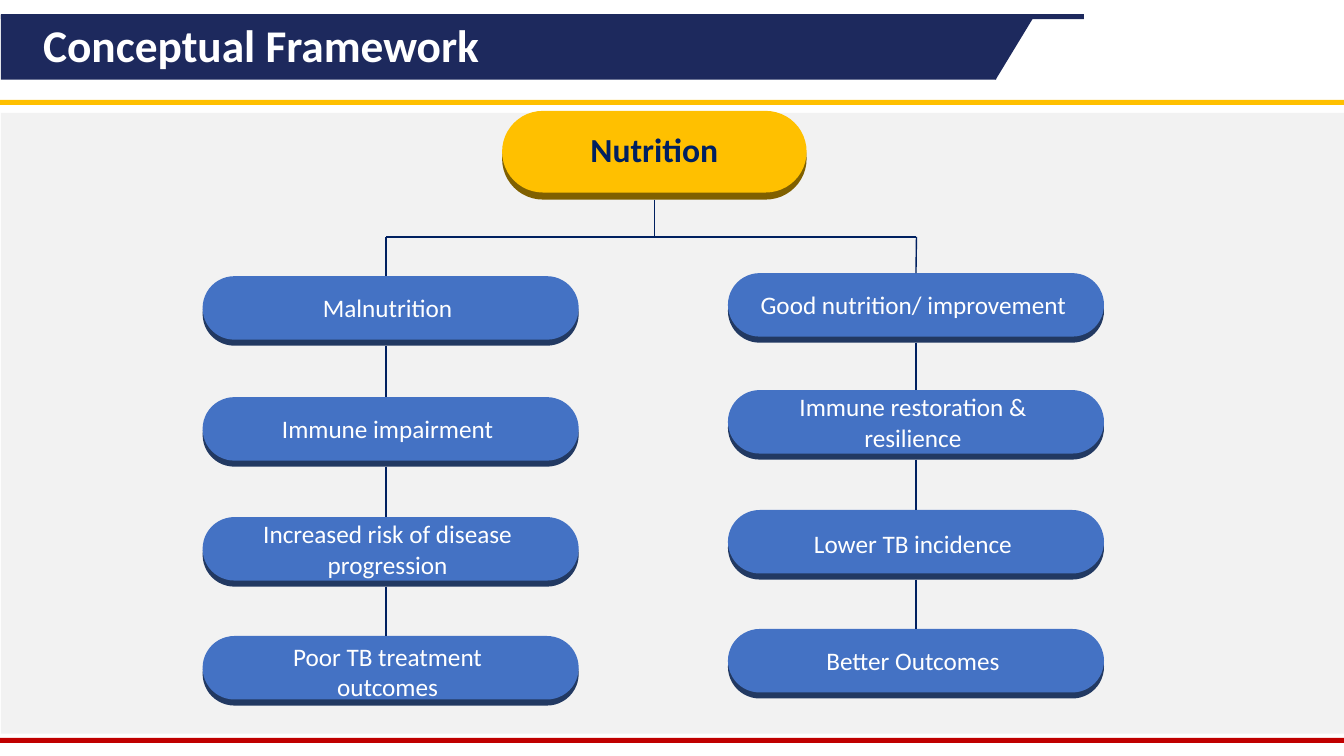
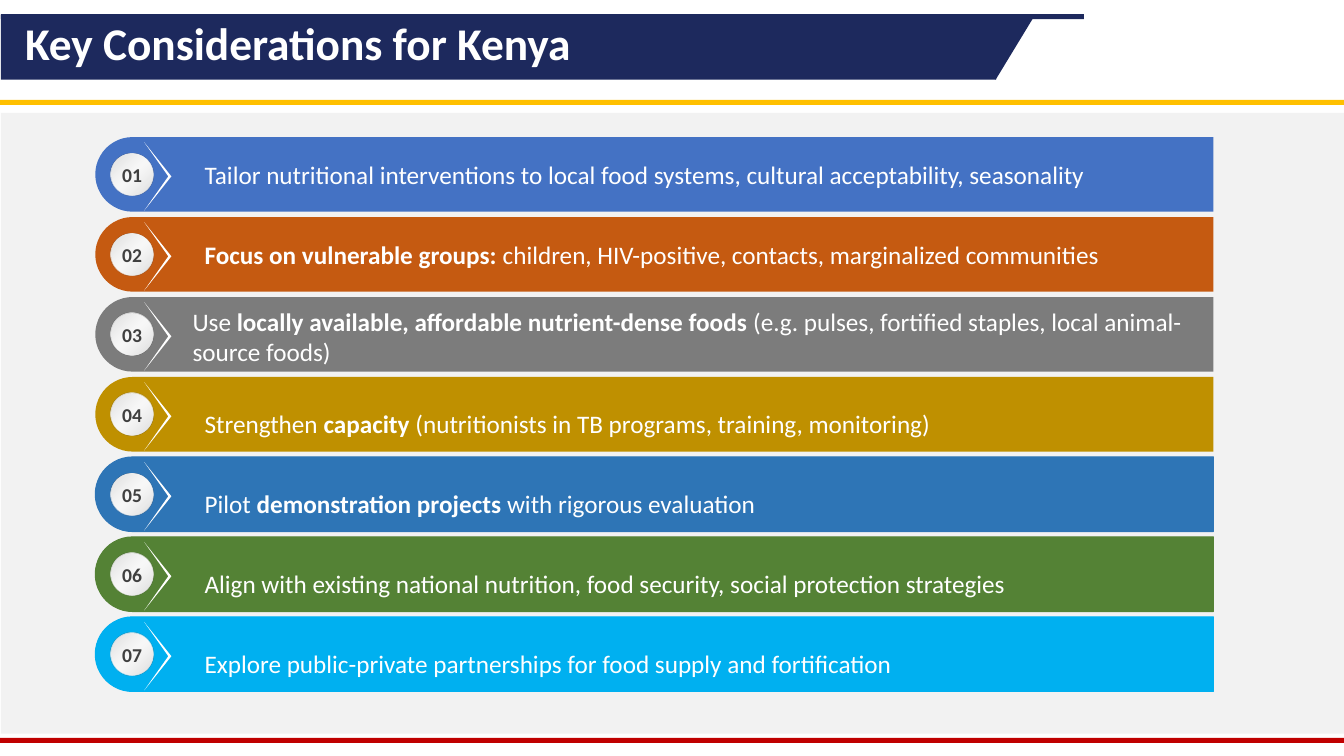
"""Build two slides on nutrition and TB: a framework tree and a numbered list."""
from dataclasses import dataclass
from typing import Any, Optional

from lxml import etree
from pptx import Presentation, util as u
from pptx.dml.color import RGBColor
from pptx.enum import shapes, text
from pptx.oxml import parse_xml
from pptx.oxml.ns import nsdecls, qn

WHITE = RGBColor(0xFF, 0xFF, 0xFF)
PANEL = RGBColor(0xF2, 0xF2, 0xF2)
RED = RGBColor(0xC0, 0x00, 0x00)
GOLD = RGBColor(0xFF, 0xC0, 0x00)
GOLD_LIP = RGBColor(0x80, 0x60, 0x00)
BAND = RGBColor(0x1D, 0x29, 0x5D)
NAVY = RGBColor(0x00, 0x20, 0x60)
BLUE = RGBColor(0x44, 0x72, 0xC4)
BLUE_LIP = RGBColor(0x22, 0x39, 0x62)
ORANGE = RGBColor(0xC5, 0x5A, 0x11)
GREY = RGBColor(0x7C, 0x7C, 0x7C)
OCHRE = RGBColor(0xBF, 0x90, 0x00)
STEEL = RGBColor(0x2E, 0x75, 0xB6)
GREEN = RGBColor(0x54, 0x82, 0x35)
SKY = RGBColor(0x00, 0xB0, 0xF0)
DARK = RGBColor(0x40, 0x40, 0x40)

FONT = "Calibri"
MST = shapes.MSO_SHAPE
CENTER, LEFT = text.PP_ALIGN.CENTER, text.PP_ALIGN.LEFT
NO_INSETS = dict(margin_left=0, margin_right=0, margin_top=0, margin_bottom=0)


@dataclass(frozen=True)
class Box:
    x: float
    y: float
    w: float
    h: float

    def emu(self) -> tuple:
        return tuple(u.Inches(v) for v in (self.x, self.y, self.w, self.h))


@dataclass(frozen=True)
class Part:
    kind: Any
    box: Box
    color: RGBColor
    rotation: float = 0


@dataclass(frozen=True)
class Run:
    text: str
    bold: bool = False


@dataclass(frozen=True)
class Node:
    label: str
    top: float
    insets: tuple = (0.34, 0.4)
    drop: float = 0


@dataclass(frozen=True)
class Column:
    left: float
    line_x: float
    joined: bool
    nodes: tuple


@dataclass(frozen=True)
class Item:
    color: RGBColor
    runs: tuple
    left: float = 2.03
    drop: float = 0
    outlined: bool = False


FRAME = (
    Part(MST.RECTANGLE, Box(0.01, 1.12, 13.33, 6.16), PANEL),
    Part(MST.RECTANGLE, Box(0, 7.32, 13.33, 0.05), RED),
    Part(MST.RECTANGLE, Box(0, 0.99, 13.33, 0.05), GOLD),
    Part(MST.RECTANGLE, Box(0.01, 0.15, 9.87, 0.64), BAND),
    Part(MST.RECTANGLE, Box(0.01, 0.14, 10.74, 0.05), BAND),
    Part(MST.ISOSCELES_TRIANGLE, Box(9.48, 0.14, 0.79, 0.65), BAND, 180),
)

ROOT = Box(4.98, 1.1, 3.02, 0.81)
RAIL_Y = 2.35
PILL_W, PILL_H = 3.73, 0.63
COLUMNS = (
    Column(2.01, 3.83, False, (
        Node("Malnutrition", 2.74),
        Node("Immune impairment", 3.94),
        Node("Increased risk of disease progression", 5.13),
        Node("Poor TB treatment outcomes", 6.31, drop=0.04),
    )),
    Column(7.22, 9.09, True, (
        Node("Good nutrition/ improvement", 2.71, (0.1, 0.15)),
        Node("Immune restoration & resilience", 3.87),
        Node("Lower TB incidence", 5.06, drop=0.02),
        Node("Better Outcomes", 6.24),
    )),
)

FIRST_MID, LAST_MID = 1.73, 6.49
BAR_W, BAR_H, BAR_MID_X = 11.09, 0.74, 6.49
ITEMS = (
    Item(BLUE, (Run("Tailor nutritional interventions to local food systems, "
                    "cultural acceptability, seasonality"),)),
    Item(ORANGE, (Run("Focus on vulnerable groups: ", True),
                  Run("children, HIV-positive, contacts, marginalized communities"))),
    Item(GREY, (Run("Use "),
                Run("locally available, affordable nutrient-dense foods ", True),
                Run("(e.g. pulses, fortified staples, local animal-source foods)")),
         left=1.91, drop=0.02),
    Item(OCHRE, (Run("Strengthen "), Run("capacity ", True),
                 Run("(nutritionists in TB programs, training, monitoring)")),
         drop=0.09),
    Item(STEEL, (Run("Pilot "), Run("demonstration projects ", True),
                 Run("with rigorous evaluation")), drop=0.09, outlined=True),
    Item(GREEN, (Run("Align with existing national nutrition, food security, "
                     "social protection strategies"),), drop=0.09, outlined=True),
    Item(SKY, (Run("Explore public-private partnerships for food supply and "
                   "fortification"),), drop=0.09, outlined=True),
)

BADGE_GRADIENT = f"""<a:gradFill {nsdecls('a')} rotWithShape="1"><a:gsLst>
<a:gs pos="0"><a:srgbClr val="D9D9D9"/></a:gs>
<a:gs pos="50000"><a:srgbClr val="F2F2F2"><a:alpha val="50000"/></a:srgbClr></a:gs>
<a:gs pos="100000"><a:srgbClr val="D9D9D9"/></a:gs></a:gsLst>
<a:path path="circle"><a:fillToRect l="100000" t="100000"/></a:path></a:gradFill>"""


def assign(obj: Any, values: dict) -> None:
    for name, value in values.items():
        setattr(obj, name, value)


def paint(sp: Any, color: RGBColor, outlined: bool = False) -> None:
    sp.shadow.inherit = False
    sp.fill.solid()
    sp.fill.fore_color.rgb = color
    if outlined:
        sp.line.color.rgb = color
        sp.line.width = u.Pt(0.75)
    else:
        sp.line.fill.background()


def add_part(s: Any, part: Part, adjust: tuple = (), outlined: bool = False) -> Any:
    sp = s.shapes.add_shape(part.kind, *part.box.emu())
    sp.rotation = part.rotation
    for i, value in enumerate(adjust):
        sp.adjustments[i] = value
    paint(sp, part.color, outlined)
    return sp


def write(sp: Any, runs: tuple, size: float, color: RGBColor, align: Any = LEFT,
          spacing: Optional[float] = None, **frame: Any) -> None:
    tf = sp.text_frame
    assign(tf, {"word_wrap": True, "vertical_anchor": text.MSO_ANCHOR.MIDDLE, **frame})
    p = tf.paragraphs[0]
    assign(p, {"alignment": align, "line_spacing": spacing})
    for run in runs:
        r = p.add_run()
        r.text = run.text
        assign(r.font, {"name": FONT, "size": u.Pt(size), "bold": run.bold})
        r.font.color.rgb = color


def new_slide(prs: Any, title: str, box: Box) -> Any:
    s = prs.slides.add_slide(prs.slide_layouts[6])
    for part in FRAME:
        add_part(s, part)
    write(s.shapes.add_textbox(*box.emu()), (Run(title, True),), 32.4, WHITE,
          spacing=0.9)
    return s


def add_pill(s: Any, box: Box, color: RGBColor, lip_color: RGBColor,
             lip: float) -> tuple:
    lip_box = Box(box.x, box.y + lip, box.w, box.h)
    return tuple(add_part(s, Part(MST.ROUNDED_RECTANGLE, b, c), (0.5,))
                 for b, c in ((lip_box, lip_color), (box, color)))


def add_line(s: Any, x1: float, y1: float, x2: float, y2: float,
             above: Any = None, below: Any = None) -> None:
    cx = s.shapes.add_connector(shapes.MSO_CONNECTOR.STRAIGHT,
                                *(u.Inches(v) for v in (x1, y1, x2, y2)))
    if above is not None:
        cx.begin_connect(above, 2)
    if below is not None:
        cx.end_connect(below, 0)
    cx.line.color.rgb = NAVY
    cx.line.width = u.Pt(1)
    etree.SubElement(cx._element.spPr, qn("a:effectLst"))


def add_column(s: Any, col: Column) -> None:
    above, y = None, RAIL_Y
    for node in col.nodes:
        box = Box(col.left, node.top, PILL_W, PILL_H)
        lip, pill = add_pill(s, box, BLUE, BLUE_LIP, 0.06)
        left, right = (u.Inches(v) for v in node.insets)
        write(pill, (Run(node.label),), 18, WHITE, CENTER, margin_left=left,
              margin_right=right, margin_top=u.Inches(2 * node.drop),
              margin_bottom=0)
        add_line(s, col.line_x, y, col.line_x, node.top, above,
                 pill if col.joined else None)
        above = lip if col.joined else None
        y = node.top + PILL_H + 0.06


def framework_slide(prs: Any) -> None:
    s = new_slide(prs, "Conceptual Framework", Box(0.33, 0.26, 5.26, 0.42))
    lip, pill = add_pill(s, ROOT, GOLD, GOLD_LIP, 0.07)
    write(pill, (Run("Nutrition", True),), 24, NAVY, CENTER,
          margin_top=0, margin_bottom=u.Inches(0.05))
    mid = ROOT.x + ROOT.w / 2
    add_line(s, mid, ROOT.y + ROOT.h, mid, RAIL_Y, above=lip)
    add_line(s, COLUMNS[0].line_x, RAIL_Y, COLUMNS[1].line_x, RAIL_Y)
    for col in COLUMNS:
        add_column(s, col)


def add_badge(s: Any, number: int, mid: float) -> None:
    part = Part(MST.OVAL, Box(1.1, mid - 0.21, 0.42, 0.42), WHITE)
    add_part(s, part)
    sp = add_part(s, part)
    spPr = sp._element.spPr
    spPr.replace(spPr.find(qn("a:solidFill")), parse_xml(BADGE_GRADIENT))
    write(sp, (Run(f"{number:02d}", True),), 14, DARK, CENTER, word_wrap=False)


def add_chevron(s: Any, mid: float) -> None:
    x, top, bottom = 1.43, mid - 0.34, mid + 0.34
    points = [(u.Inches(a), u.Inches(b))
              for a, b in ((x, top), (1.7, mid), (x, bottom), (1.67, mid))]
    fb = s.shapes.build_freeform(*points[0])
    fb.add_line_segments(points[1:], close=True)
    paint(fb.convert_to_shape(), WHITE)


def considerations_slide(prs: Any) -> None:
    s = new_slide(prs, "Key Considerations for Kenya", Box(0.15, 0.25, 6.33, 0.4))
    pitch = (LAST_MID - FIRST_MID) / (len(ITEMS) - 1)
    for i, item in enumerate(ITEMS):
        mid = FIRST_MID + i * pitch
        bar = Box(BAR_MID_X - BAR_H / 2, mid - BAR_W / 2, BAR_H, BAR_W)
        add_part(s, Part(MST.ROUND_2_SAME_RECTANGLE, bar, item.color, 270),
                 (0.5, 0), item.outlined)
        label = Box(item.left, mid + item.drop - 0.3, 10, 0.6)
        write(s.shapes.add_textbox(*label.emu()), item.runs, 18, WHITE, **NO_INSETS)
        add_badge(s, i + 1, mid)
        add_chevron(s, mid + 0.02)


def main() -> None:
    prs = Presentation()
    assign(prs, {"slide_width": u.Inches(13.33), "slide_height": u.Inches(7.5)})
    framework_slide(prs)
    considerations_slide(prs)
    prs.save("out.pptx")


if __name__ == "__main__":
    main()
